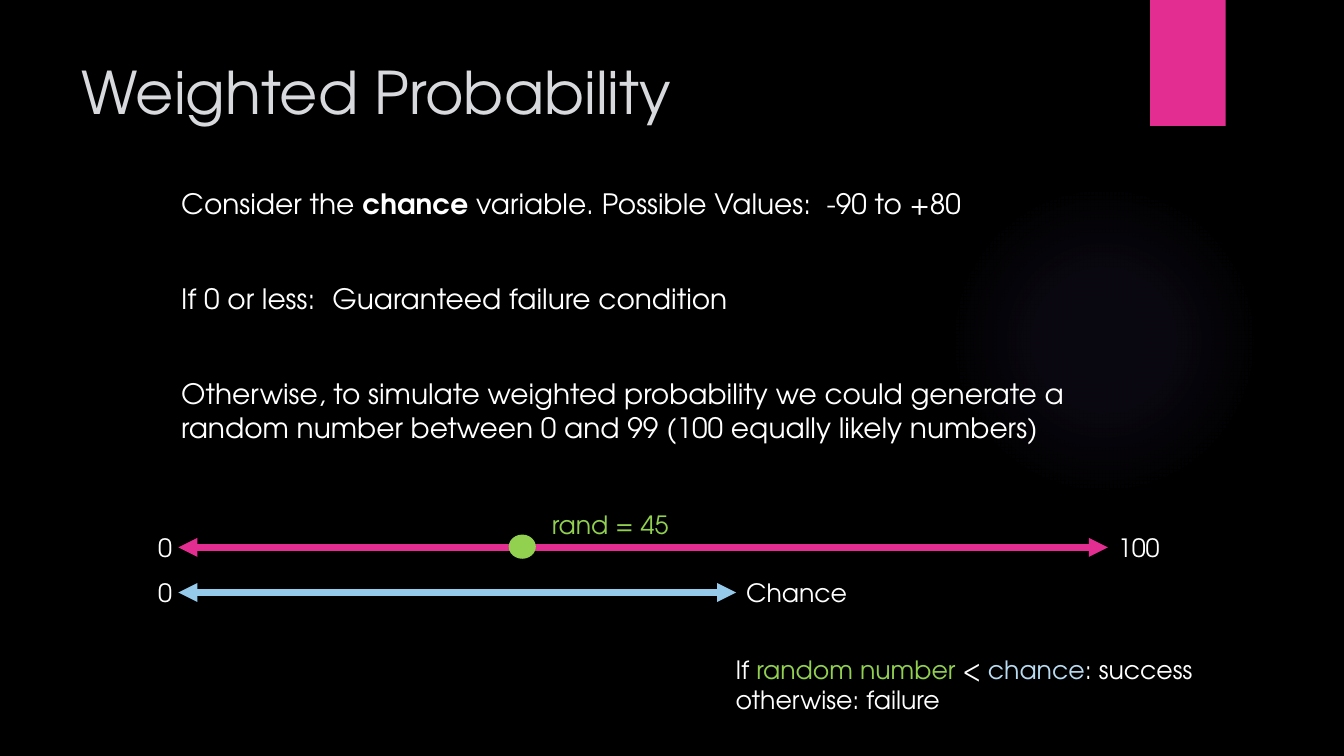
from dataclasses import dataclass

from lxml import etree
from pptx import Presentation
from pptx.dml.color import RGBColor
from pptx.enum.shapes import MSO_CONNECTOR, MSO_SHAPE
from pptx.oxml import parse_xml
from pptx.oxml.ns import nsdecls, qn
from pptx.util import Pt

OVAL = MSO_SHAPE.OVAL
RECT = MSO_SHAPE.RECTANGLE
STRAIGHT = MSO_CONNECTOR.STRAIGHT


@dataclass(frozen=True)
class Theme:
    """Colours, font and type sizes of the slide."""
    font: str = "TeX Gyre Adventor"
    back: str = "000000"
    title: str = "D8D9DC"
    text: str = "FFFFFF"
    pink: str = "E32D91"
    green: str = "92D050"
    blue: str = "95CAEA"
    pale_blue: str = "B8DBF1"
    glow: str = "8971E1"
    title_size: int = 42
    body_size: int = 20
    label_size: int = 18


THEME = Theme()


def add_shape(slide, kind, x, y, w, h, color):
    """Add a preset shape with a plain fill and no line or shadow."""
    sp = slide.shapes.add_shape(kind, Pt(x), Pt(y), Pt(w), Pt(h))
    sp.shadow.inherit = False
    sp.fill.solid()
    sp.fill.fore_color.rgb = RGBColor.from_string(color)
    sp.line.fill.background()
    return sp


def add_text(slide, x, y, w, h, paragraphs, size, gap=0, tab=0):
    """Add a text box whose paragraphs are lists of (text, colour, bold) runs."""
    tf = slide.shapes.add_textbox(Pt(x), Pt(y), Pt(w), Pt(h)).text_frame
    tf.word_wrap = True
    for i, runs in enumerate(paragraphs):
        p = tf.paragraphs[0] if i == 0 else tf.add_paragraph()
        if i and gap:
            p.space_before = Pt(gap)
        if tab:
            tabs = etree.SubElement(p._p.get_or_add_pPr(), qn("a:tabLst"))
            etree.SubElement(tabs, qn("a:tab"), pos=str(Pt(tab)), algn="l")
        for text, color, bold in runs:
            r = p.add_run()
            r.text = text
            r.font.name = THEME.font
            r.font.size = Pt(size)
            r.font.bold = bold
            r.font.color.rgb = RGBColor.from_string(color)


def add_label(slide, x, y, w, text, color=THEME.text):
    """Add a one-line label."""
    add_text(slide, x, y, w, 29, [[(text, color, False)]], THEME.label_size)


def add_backdrop(slide, w):
    """Set the background, the faint glow and the pink tab at the top right."""
    slide.background.fill.solid()
    slide.background.fill.fore_color.rgb = RGBColor.from_string(THEME.back)
    sp = add_shape(slide, OVAL, w - 282.5, 131.8, 221.8, 221.8, THEME.glow)
    stops = "".join(
        f'<a:gs pos="{pos}000"><a:srgbClr val="{THEME.glow}">'
        f'<a:alpha val="{alpha}000"/></a:srgbClr></a:gs>'
        for pos, alpha in ((0, 7), (36, 6), (69, 0), (100, 0)))
    grad = parse_xml(
        f'<a:gradFill {nsdecls("a")}><a:gsLst>{stops}</a:gsLst>'
        '<a:path path="circle"><a:fillToRect l="50000" t="50000" '
        'r="50000" b="50000"/></a:path></a:gradFill>')
    solid = sp._element.spPr.find(qn("a:solidFill"))
    solid.getparent().replace(solid, grad)
    add_shape(slide, RECT, w - 138.5, 0, 54, 90, THEME.pink)


def add_title(slide, x, y, w, h):
    """Add the slide title."""
    runs = [("Weighted Probability", THEME.title, False)]
    add_text(slide, x, y, w, h, [runs], THEME.title_size)


def add_body(slide, x, y, w, h):
    """Add the explanation of the chance variable."""
    c = THEME.text
    paragraphs = [
        [("Consider the ", c, False), ("chance", c, True),
         (" variable. Possible Values:  -90 to +80", c, False)],
        [("If 0 or less:\tGuaranteed failure condition", c, False)],
        [("Otherwise, to simulate weighted probability we could generate a "
          "random number between 0 and 99 (100 equally likely numbers)",
          c, False)],
    ]
    add_text(slide, x, y, w, h, paragraphs, THEME.body_size, gap=44, tab=108)


def add_range(slide, x, y, w, color, end, end_w):
    """Add a two-headed arrow with 0 at its left and a label at its right."""
    s = slide.shapes.add_connector(STRAIGHT, Pt(x), Pt(y), Pt(x + w), Pt(y))
    s.line.width = Pt(4.5)
    s.line.color.rgb = RGBColor.from_string(color)
    ln = s.line._get_or_add_ln()
    for tag in ("a:headEnd", "a:tailEnd"):
        etree.SubElement(ln, qn(tag), type="triangle")
    etree.SubElement(s._element.spPr, qn("a:effectLst"))
    add_label(slide, x - 21.6, y - 14.5, 32.4, "0")
    add_label(slide, x + w, y - 14.5, end_w, end)


def add_number_lines(slide, x, y, w):
    """Add the full range, the chance range and the random number on them."""
    dot_w, dot_h = 19.4, 17.3
    dot_x = x + 0.37 * w
    add_range(slide, x, y, w, THEME.pink, "100", 57.6)
    add_range(slide, x, y + 32.2, 0.6 * w, THEME.blue, "Chance", 170)
    add_shape(slide, OVAL, dot_x - dot_w / 2, y - 0.5 - dot_h / 2,
              dot_w, dot_h, THEME.green)
    add_label(slide, dot_x + 14, y - 31, 131, "rand = 45", THEME.green)


def add_verdict(slide, x, y, w, h):
    """Add the rule that decides between success and failure."""
    runs = [("If ", THEME.text, False),
            ("random number ", THEME.green, False),
            ("< ", THEME.text, False),
            ("chance", THEME.pale_blue, False),
            (": success", THEME.text, False)]
    otherwise = [("otherwise: failure", THEME.text, False)]
    add_text(slide, x, y, w, h, [runs, otherwise], THEME.label_size)


def main():
    """Build the slide and save it."""
    prs = Presentation()
    prs.slide_width, prs.slide_height = Pt(960), Pt(540)
    slide = prs.slides.add_slide(prs.slide_layouts[6])
    add_backdrop(slide, 960)
    add_title(slide, 51, 36, 741, 110)
    add_body(slide, 122.4, 129.6, 704, 214.6)
    add_number_lines(slide, 127.4, 391, 664)
    add_verdict(slide, 518.4, 463.7, 394.6, 51)
    prs.save("out.pptx")


if __name__ == "__main__":
    main()
